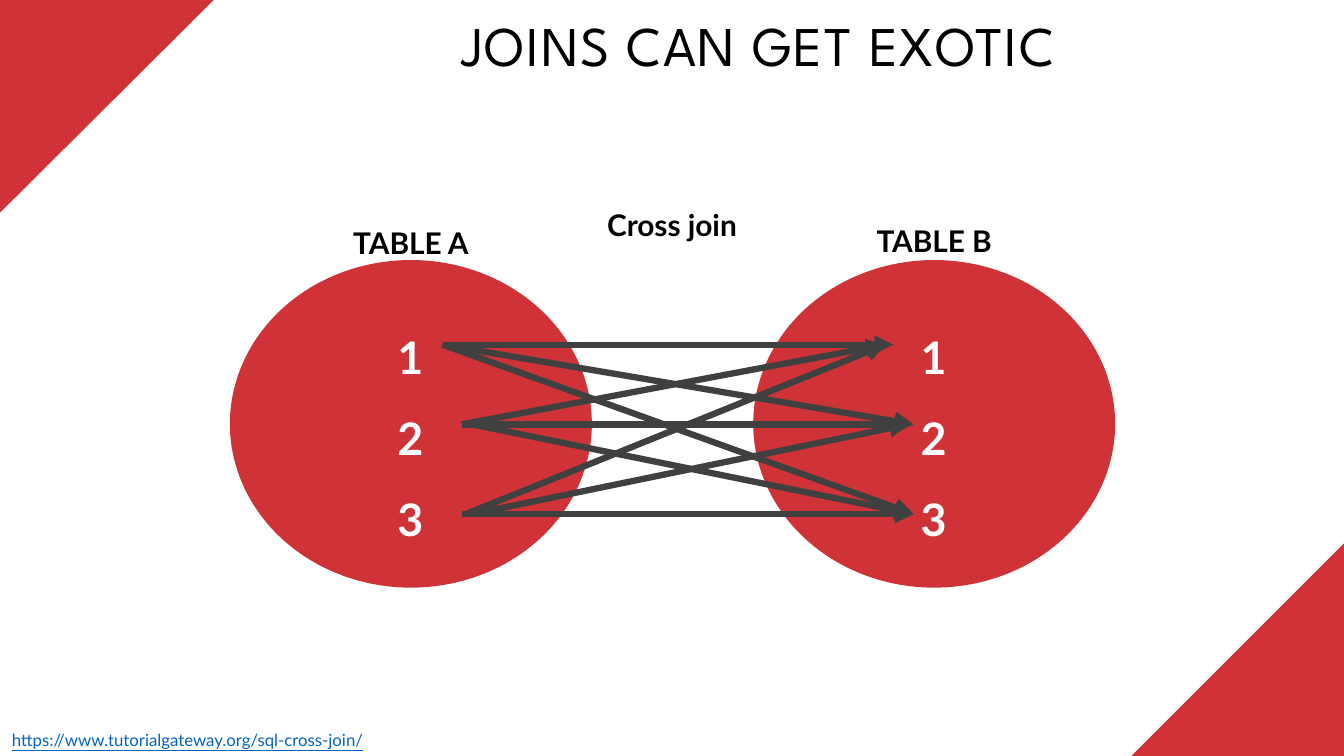
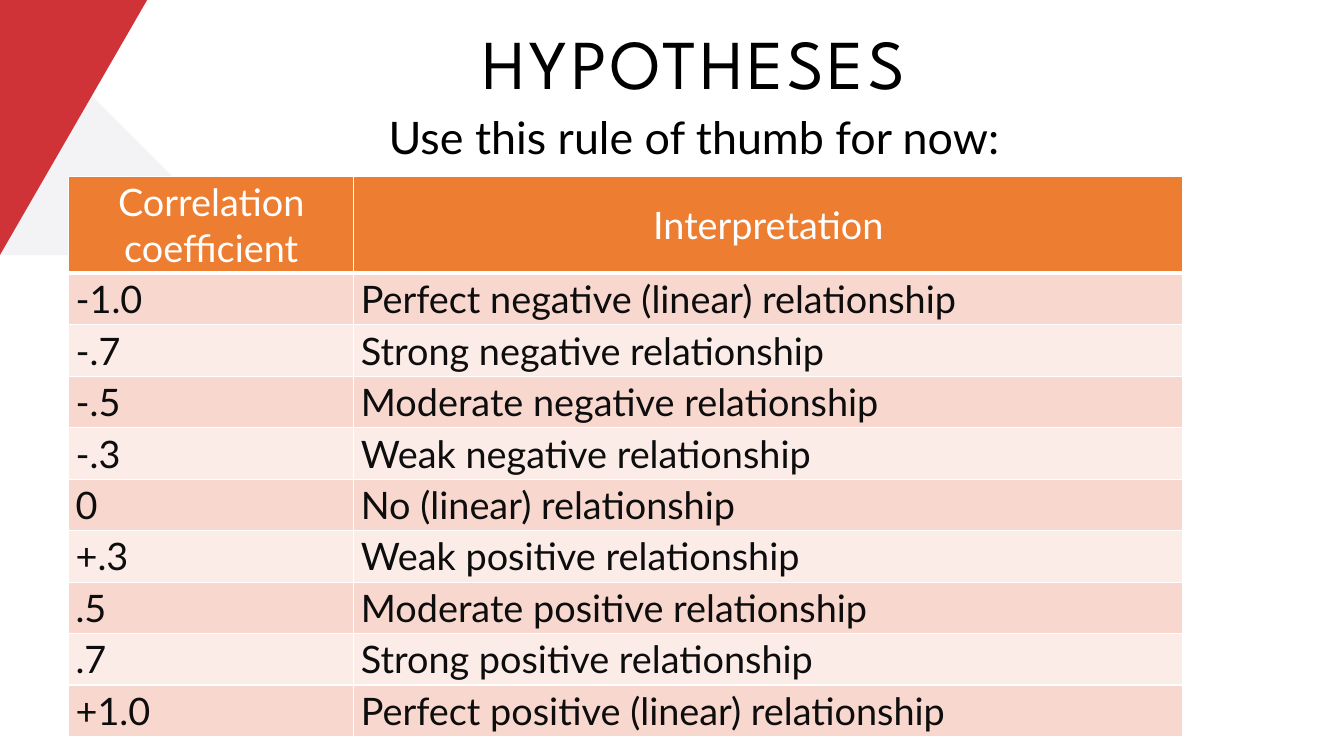
from dataclasses import dataclass
from typing import NamedTuple

from lxml.etree import SubElement
from pptx import Presentation
from pptx.dml.color import RGBColor
from pptx.enum.shapes import MSO_CONNECTOR as Connector, MSO_SHAPE as Preset
from pptx.enum.text import MSO_ANCHOR as Anchor, MSO_AUTO_SIZE as AutoSize, PP_ALIGN as Align
from pptx.oxml.ns import qn
from pptx.util import Inches, Length, Pt


# Shared look
@dataclass(frozen=True)
class Theme:
    red: str = "CF3338"
    pale: str = "F2F0F4"
    white: str = "FFFFFF"
    black: str = "000000"
    link: str = "0563C1"
    arrow: str = "404040"
    header: str = "ED7D31"
    bands: tuple[str, str] = ("F8D7CE", "FCECE8")
    cell_text: str = "0D0D0D"
    heading_font: str = "League Spartan"
    body_font: str = "Lato"
    source_size: float = 12
    label_size: float = 21.3
    table_size: float = 27
    lead_size: float = 32


THEME = Theme()


class Box(NamedTuple):
    left: float
    top: float
    width: float
    height: float


class Span(NamedTuple):
    start: float
    end: float


@dataclass(frozen=True)
class TitleStyle:
    box: Box
    size: float
    leading: float
    tracking: float


@dataclass(frozen=True)
class TableCircle:
    name: str
    circle: Box
    label: Box
    numbers: Box


Point = tuple[float, float]


# Drawing helpers
def write_text(frame, *lines: str, size: float, color: str = THEME.black,
               font: str = THEME.body_font, bold: bool = False, underline: bool = False,
               align=Align.LEFT, line_spacing: float | Length | None = None,
               tracking: float = 0) -> None:
    for index, line in enumerate(lines):
        paragraph = frame.add_paragraph() if index else frame.paragraphs[0]
        paragraph.alignment = align
        if line_spacing is not None:
            paragraph.line_spacing = line_spacing
        run = paragraph.add_run()
        run.text = line
        run.font.name = font
        run.font.size = Pt(size)
        run.font.bold = bold
        run.font.underline = underline
        run.font.color.rgb = RGBColor.from_string(color)
        if tracking:
            run._r.get_or_add_rPr().set("spc", str(round(tracking * 100)))


def add_text(slide, box: Box, *lines: str, **text_format) -> None:
    frame = slide.shapes.add_textbox(*map(Inches, box)).text_frame
    frame.word_wrap = True
    write_text(frame, *lines, **text_format)


def set_title(slide, text: str, style: TitleStyle) -> None:
    title = slide.shapes.title
    title.left, title.top, title.width, title.height = map(Inches, style.box)
    frame = title.text_frame
    frame.margin_left = frame.margin_right = frame.margin_top = frame.margin_bottom = 0
    frame.vertical_anchor = Anchor.TOP
    frame.auto_size = AutoSize.NONE
    frame.word_wrap = True
    write_text(frame, text, size=style.size, font=THEME.heading_font, align=Align.CENTER,
               line_spacing=Pt(style.leading), tracking=style.tracking)


def paint(shape, color: str, opacity: int = 100) -> None:
    shape.shadow.inherit = False
    shape.fill.solid()
    shape.fill.fore_color.rgb = RGBColor.from_string(color)
    shape.line.fill.background()
    if opacity < 100:
        color_element = shape._element.spPr.find(qn("a:solidFill"))[0]
        SubElement(color_element, qn("a:alpha"), val=str(opacity * 1000))


def add_triangle(slide, corners: tuple[Point, Point, Point], color: str,
                 opacity: int = 100) -> None:
    first, *others = [(Inches(x), Inches(y)) for x, y in corners]
    builder = slide.shapes.build_freeform(*first)
    builder.add_line_segments(others, close=True)
    paint(builder.convert_to_shape(), color, opacity)


def add_arrow(slide, start: Point, end: Point) -> None:
    arrow = slide.shapes.add_connector(Connector.STRAIGHT, *map(Inches, (*start, *end)))
    arrow.line.color.rgb = RGBColor.from_string(THEME.arrow)
    arrow.line.width = Pt(4.5)
    properties = arrow._element.spPr
    SubElement(properties.find(qn("a:ln")), qn("a:tailEnd"), type="triangle")
    SubElement(properties, qn("a:effectLst"))


def set_borders(cell, bottom: float = 1) -> None:
    properties = cell._tc.get_or_add_tcPr()
    for side, width in {"L": 1, "R": 1, "T": 1, "B": bottom}.items():
        line = SubElement(properties, qn(f"a:ln{side}"), w=str(Pt(width)))
        fill = SubElement(line, qn("a:solidFill"))
        SubElement(fill, qn("a:srgbClr"), val=THEME.white)


def fill_cell(cell, text: str, row: int) -> None:
    is_header = row == 0
    set_borders(cell, bottom=3 if is_header else 1)
    cell.fill.solid()
    fill = THEME.header if is_header else THEME.bands[(row - 1) % 2]
    cell.fill.fore_color.rgb = RGBColor.from_string(fill)
    cell.margin_left = cell.margin_right = Inches(0.07)
    cell.margin_top = cell.margin_bottom = Inches(0.03)
    cell.vertical_anchor = Anchor.MIDDLE if is_header else Anchor.TOP
    write_text(cell.text_frame, text, size=THEME.table_size,
               color=THEME.white if is_header else THEME.cell_text,
               align=Align.CENTER if is_header else Align.LEFT)


# Slide content
CIRCLES = (
    TableCircle("TABLE A", Box(2.28, 2.58, 3.59, 3.25), Box(1.88, 2.18, 4.39, 0.46),
                Box(3.46, 2.96, 1.22, 2.42)),
    TableCircle("TABLE B", Box(7.47, 2.58, 3.59, 3.25), Box(7.07, 2.16, 4.39, 0.46),
                Box(8.65, 2.96, 1.22, 2.42)),
)

# Arrow heights by number, and horizontal reach from each A number to each B number
NUMBER_TOPS = (3.42, 4.21, 5.1)
ARROW_SPANS = (
    (Span(4.39, 8.86), Span(4.39, 9.06), Span(4.39, 9.06)),
    (Span(4.58, 8.78), Span(4.58, 9.06), Span(4.68, 9.06)),
    (Span(4.62, 8.78), Span(4.68, 9.01), Span(4.58, 9.06)),
)

COLUMN_WIDTHS = (2.83, 8.22)
HEADER_HEIGHT, ROW_HEIGHT = 0.96, 0.51
INTERPRETATIONS = (
    ("Correlation coefficient", "Interpretation"),
    ("-1.0", "Perfect negative (linear) relationship"),
    ("-.7", "Strong negative relationship"),
    ("-.5", "Moderate negative relationship"),
    ("-.3", "Weak negative relationship"),
    ("0", "No (linear) relationship"),
    ("+.3", "Weak positive relationship"),
    (".5", "Moderate positive relationship"),
    (".7", "Strong positive relationship"),
    ("+1.0", "Perfect positive (linear) relationship"),
)


def build_cross_join(slide) -> None:
    # Corners and title
    add_triangle(slide, ((0, 0), (2.12, 0), (0, 2.11)), THEME.red)
    add_triangle(slide, ((13.33, 5.39), (13.33, 7.5), (11.22, 7.5)), THEME.red)
    set_title(slide, "JOINS CAN GET EXOTIC",
              TitleStyle(Box(2.97, 0.42, 9.11, 0.4), size=40, leading=25.6, tracking=1.1))
    add_text(slide, Box(0.02, 7.19, 5.72, 0.3),
             "https://www.tutorialgateway.org/sql-cross-join/",
             size=THEME.source_size, color=THEME.link, underline=True)

    # Tables as circles
    label_format = dict(size=THEME.label_size, bold=True, align=Align.CENTER)
    add_text(slide, Box(4.47, 2, 4.39, 0.46), "Cross join", **label_format)
    for table in CIRCLES:
        paint(slide.shapes.add_shape(Preset.OVAL, *map(Inches, table.circle)), THEME.red)
        add_text(slide, table.label, table.name, **label_format)
        add_text(slide, table.numbers, "1", "2", "3", size=THEME.lead_size,
                 color=THEME.white, bold=True, align=Align.CENTER, line_spacing=1.5)

    # Every A number meets every B number
    for start_top, spans in zip(NUMBER_TOPS, ARROW_SPANS):
        for end_top, span in zip(NUMBER_TOPS, spans):
            add_arrow(slide, (span.start, start_top), (span.end, end_top))


def build_hypotheses(slide) -> None:
    # Corner, title and lead line
    add_triangle(slide, ((0, 0.04), (2.49, 2.53), (0, 2.53)), THEME.pale, opacity=85)
    add_triangle(slide, ((0, 0), (1.46, 0), (0, 2.53)), THEME.red)
    set_title(slide, "HYPOTHESES",
              TitleStyle(Box(1.19, 0.19, 11.39, 0.84), size=50, leading=60, tracking=2.5))
    add_text(slide, Box(1.44, 1.04, 10.89, 0.64), "Use this rule of thumb for now:",
             size=THEME.lead_size, align=Align.CENTER)

    # Interpretation table
    row_count = len(INTERPRETATIONS)
    height = HEADER_HEIGHT + ROW_HEIGHT * (row_count - 1)
    box = Box(0.68, 1.75, sum(COLUMN_WIDTHS), height)
    table = slide.shapes.add_table(row_count, len(COLUMN_WIDTHS), *map(Inches, box)).table
    table.first_row = table.horz_banding = False
    for column, width in zip(table.columns, COLUMN_WIDTHS):
        column.width = Inches(width)
    for row, texts in enumerate(INTERPRETATIONS):
        table.rows[row].height = Inches(ROW_HEIGHT if row else HEADER_HEIGHT)
        for column, text in enumerate(texts):
            fill_cell(table.cell(row, column), text, row)


def main() -> None:
    presentation = Presentation()
    presentation.slide_width = Inches(13.33)
    presentation.slide_height = Inches(7.5)
    title_only = presentation.slide_layouts[5]
    for build in (build_cross_join, build_hypotheses):
        build(presentation.slides.add_slide(title_only))
    presentation.save("out.pptx")


if __name__ == "__main__":
    main()
